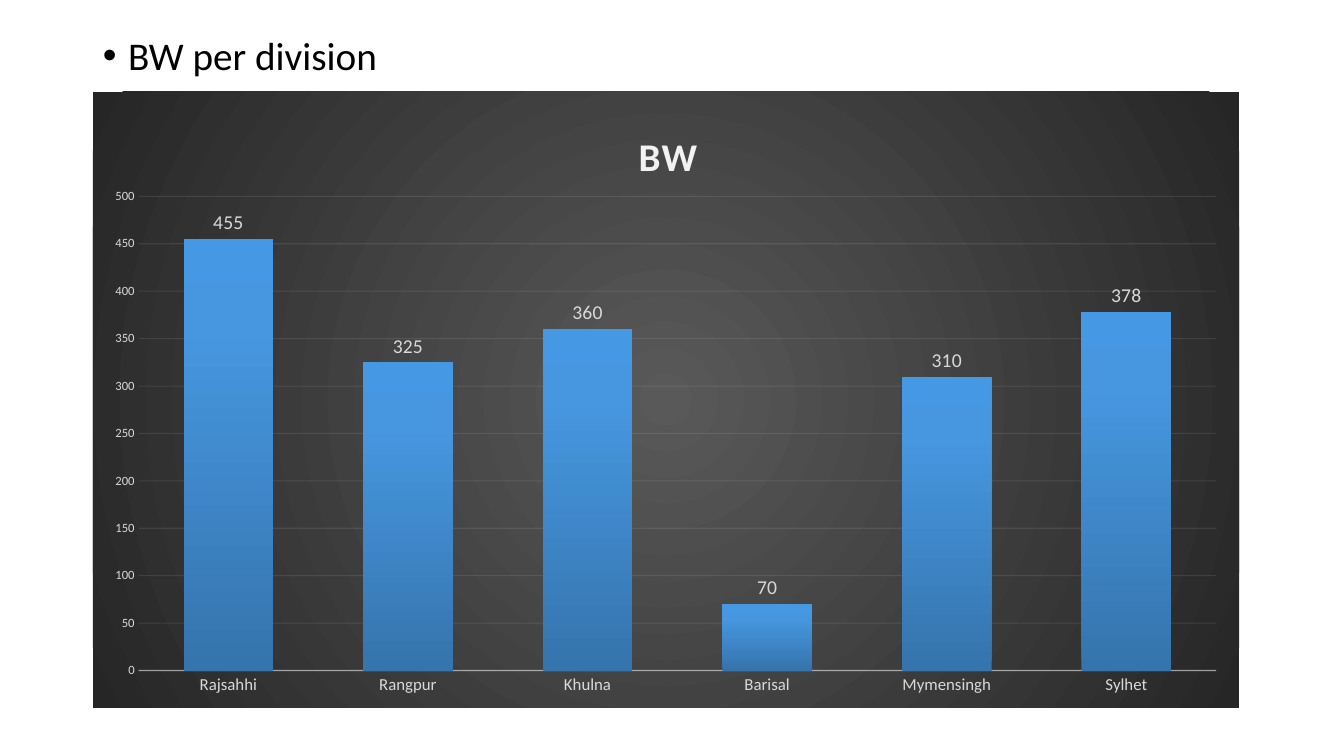
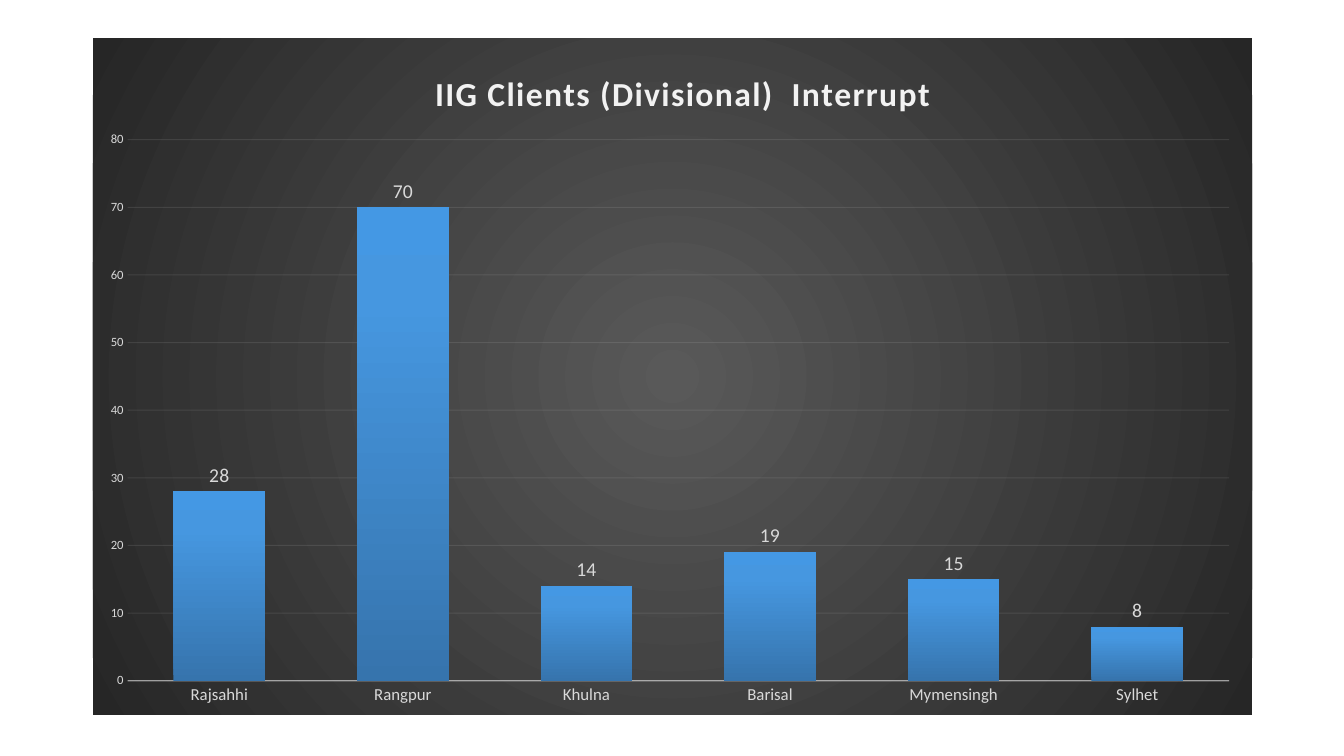
"""Build two slides with divisional column charts on dark panels."""
from pptx import Presentation
from pptx import util as u
from pptx.chart import data
from pptx.dml.color import RGBColor
from pptx.enum import chart as ch
from pptx.enum import text
from pptx.oxml import parse_xml
from pptx.oxml.ns import nsdecls, qn

COLORS = {
    "ink": "000000", "label": "D9D9D9", "light": "F2F2F2",
    "panel_in": "595959", "panel_out": "262626",
    "bar_low": "3674AD", "bar_mid": "4697E0", "bar_top": "4498E4",
}
FONT = "Calibri"
DIVISIONS = ["Rajsahhi", "Rangpur", "Khulna", "Barisal", "Mymensingh", "Sylhet"]
PANEL_PATH = ('<a:path path="circle"><a:fillToRect l="50000" t="50000" '
              'r="50000" b="50000"/></a:path>')
BAR_PATH = '<a:lin ang="16200000" scaled="0"/>'


def apply(obj, values):
    """Set each attribute of obj from a dict."""
    for name, value in values.items():
        setattr(obj, name, value)


def rgb(key):
    """Return a named colour."""
    return RGBColor.from_string(COLORS[key])


def style_font(font, size, color, bold=False):
    """Format a font with the shared typeface."""
    apply(font, {"name": FONT, "size": u.Pt(size), "bold": bold})
    font.color.rgb = rgb(color)


def gradient(stops, direction):
    """Return a gradient fill element from (percent, colour) stops."""
    gs = "".join(f'<a:gs pos="{pos * 1000}"><a:srgbClr val="{COLORS[key]}"/></a:gs>'
                 for pos, key in stops)
    return parse_xml(f'<a:gradFill {nsdecls("a")} rotWithShape="1">'
                     f'<a:gsLst>{gs}</a:gsLst>{direction}</a:gradFill>')


def style_line(chart, line, where, width, alpha):
    """Draw a translucent light line found at an XPath in the chart."""
    line.width = u.Pt(width)
    line.color.rgb = rgb("light")
    for clr in chart.element.xpath(f".//{where}/c:spPr//a:srgbClr"):
        clr.append(parse_xml(f'<a:alpha {nsdecls("a")} val="{alpha * 1000}"/>'))


def place(parent, index, inner=False, **fractions):
    """Give a chart part a manual layout in fractions of the chart."""
    for old in parent.findall(qn("c:layout")):
        parent.remove(old)
    target = '<c:layoutTarget val="inner"/>' if inner else ""
    modes = '<c:xMode val="edge"/><c:yMode val="edge"/>'
    values = "".join(f'<c:{k} val="{v}"/>' for k, v in fractions.items())
    parent.insert(index, parse_xml(
        f'<c:layout {nsdecls("c")}><c:manualLayout>{target}{modes}{values}'
        '</c:manualLayout></c:layout>'))


def style_title(chart, title, size, corner):
    """Write the spaced bold chart title."""
    r = chart.chart_title.text_frame.paragraphs[0].add_run()
    r.text = title
    style_font(r.font, size, "light", bold=True)
    chart.element.xpath("c:chart/c:title//a:r/a:rPr")[0].set("spc", "100")
    x, y = corner
    place(chart.element.xpath("c:chart/c:title")[0], 1, x=x, y=y)


def style_axes(chart, top, step):
    """Format both axes and the gridlines."""
    cat, val = chart.category_axis, chart.value_axis
    for axis, size in ((cat, 12), (val, 9)):
        apply(axis, {"major_tick_mark": ch.XL_TICK_MARK.NONE,
                     "minor_tick_mark": ch.XL_TICK_MARK.NONE})
        style_font(axis.tick_labels.font, size, "label")
    apply(val, {"minimum_scale": 0, "maximum_scale": top, "major_unit": step,
                "has_major_gridlines": True})
    val.format.line.fill.background()
    style_line(chart, cat.format.line, "c:catAx", 1, 54)
    style_line(chart, val.major_gridlines.format.line, "c:majorGridlines", 0.75, 10)


def style_bars(chart):
    """Format the columns and their value labels."""
    plot = chart.plots[0]
    apply(plot, {"gap_width": 100, "overlap": -24, "vary_by_categories": False,
                 "has_data_labels": True})
    apply(plot.data_labels, {"show_value": True,
                             "position": ch.XL_LABEL_POSITION.OUTSIDE_END})
    style_font(plot.data_labels.font, 14, "label")
    sp_pr = chart.element.xpath(".//c:ser")[0].get_or_add_spPr()
    sp_pr.append(gradient([(0, "bar_low"), (80, "bar_mid"), (100, "bar_top")], BAR_PATH))


def fill_panel(chart):
    """Fill the chart background with a radial gradient."""
    sp_pr = parse_xml(f'<c:spPr {nsdecls("c", "a")}><a:ln><a:noFill/></a:ln></c:spPr>')
    sp_pr.insert(0, gradient([(0, "panel_in"), (100, "panel_out")], PANEL_PATH))
    chart.element.find(qn("c:chart")).addnext(sp_pr)


def add_bars(slide, box, title, size, corner, values, top, step, plot_box):
    """Add a column chart of one value per division."""
    cd = data.CategoryChartData()
    cd.categories = DIVISIONS
    cd.add_series("Series 1", values)
    chart = slide.shapes.add_chart(ch.XL_CHART_TYPE.COLUMN_CLUSTERED,
                                   *map(u.Inches, box), cd).chart
    apply(chart, {"has_legend": False, "has_title": True})
    style_font(chart.font, 10, "ink")
    style_title(chart, title, size, corner)
    style_axes(chart, top, step)
    style_bars(chart)
    fill_panel(chart)
    place(chart.element.xpath("c:chart/c:plotArea")[0], 0, inner=True,
          **dict(zip("xywh", plot_box)))


def add_bullet(slide, box, words):
    """Write one bullet in the body placeholder and drop the empty title."""
    title = slide.shapes.title.element
    title.getparent().remove(title)
    sp = slide.placeholders[1]
    apply(sp, dict(zip(("left", "top", "width", "height"), map(u.Inches, box))))
    tf = sp.text_frame
    apply(tf, {"word_wrap": True, "auto_size": text.MSO_AUTO_SIZE.NONE,
               "vertical_anchor": text.MSO_ANCHOR.TOP})
    p = tf.paragraphs[0]
    apply(p, {"line_spacing": 0.9, "space_before": u.Pt(10)})
    r = p.add_run()
    r.text = words
    style_font(r.font, 28, "ink")
    indent = u.Inches(0.25)
    p_pr = sp.element.xpath(".//a:pPr")[0]
    p_pr.set("marL", str(indent))
    p_pr.set("indent", str(-indent))


def main():
    """Build and save the presentation."""
    prs = Presentation()
    apply(prs, {"slide_width": u.Inches(13.33), "slide_height": u.Inches(7.5)})
    content, blank = prs.slide_layouts[1], prs.slide_layouts[6]

    s = prs.slides.add_slide(content)
    add_bullet(s, (0.92, 0.31, 11.5, 6.45), "BW per division")
    add_bars(s, (0.92, 0.91, 11.37, 6.11), "BW", 28, (0.47, 0.05),
             (455, 325, 360, 70, 310, 378), 500, 50, (0.04, 0.17, 0.94, 0.77))

    s = prs.slides.add_slide(blank)
    add_bars(s, (0.92, 0.38, 11.5, 6.71), "IIG Clients (Divisional)  Interrupt", 24,
             (0.29, 0.04), (28, 70, 14, 19, 15, 8), 80, 10, (0.03, 0.15, 0.95, 0.8))
    prs.save("out.pptx")


if __name__ == "__main__":
    main()
